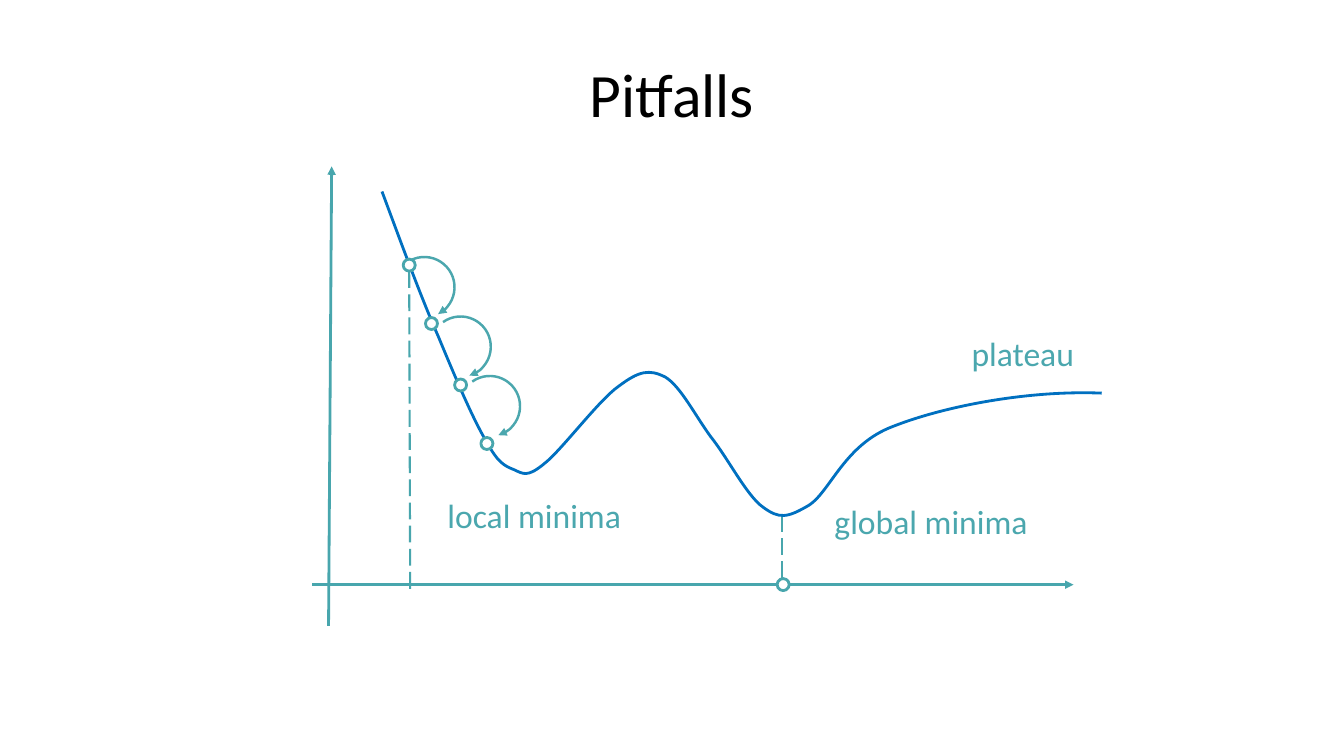
from lxml.etree import SubElement
from pptx import Presentation
from pptx.dml.color import RGBColor
from pptx.enum.dml import MSO_LINE
from pptx.enum.shapes import MSO_CONNECTOR, MSO_SHAPE
from pptx.enum.text import MSO_ANCHOR, MSO_AUTO_SIZE, PP_ALIGN
from pptx.oxml.ns import qn
from pptx.util import Pt

COLORS = {"title": "000000", "axis": "48A6AD", "step": "4BA7AE",
          "loss": "0070C0", "paper": "FFFFFF"}

LOSS_START = (272.9, 136.8)
LOSS_CURVES = [
    [(286.6, 173.5), (300.2, 211), (313.2, 240.5)],
    [(325.4, 270), (337.7, 298.8), (347, 314.6)],
    [(355.7, 330.5), (360, 332.6), (367.2, 335.5)],
    [(373.7, 338.4), (376.6, 341.3), (388.8, 331.2)],
    [(401, 321.8), (427.7, 285.8), (442.1, 275.8)],
    [(456.5, 265), (463.7, 263.5), (475.2, 269.3)],
    [(486, 275.8), (496.1, 295.9), (507.6, 311.8)],
    [(519.8, 326.9), (533.5, 354.2), (545, 362.2)],
    [(556.6, 370.8), (562.3, 370.1), (578.2, 360.7)],
    [(593.3, 350.6), (603.4, 317.5), (637.9, 304.6)],
    [(672.5, 290.9), (732.2, 278.6), (787, 280.8)],
]
DESCENT_STEPS = [(303.1, 205.2, 13.72), (329, 247.7, 19.98), (349.9, 290.2, 20.23)]
DESCENT_POINTS = [(292.3, 189.4), (308.2, 231.1), (329, 275), (347.8, 316.8)]
GLOBAL_MINIMUM = (559.4, 417.6)
LABELS = [("local minima", 312.5, 349.9, 139.7),
          ("global minima", 589, 354.2, 153.4),
          ("plateau", 686.9, 234, 88.6)]


class Sketch:
    font = "Calibri"
    dot_size = 8.6
    arc_size = 43.2

    def __init__(self, slide):
        self.slide = slide
        self.shapes = slide.shapes

    def color(self, name):
        return RGBColor.from_string(COLORS[name])

    def stroke(self, item, color, width, arrow=False):
        item.line.color.rgb = self.color(color)
        item.line.width = Pt(width)
        if arrow:
            outline = item.element.spPr.find(qn("a:ln"))
            SubElement(outline, qn("a:tailEnd"), type="triangle")

    def set_text(self, frame, text, size, color):
        frame.text = text
        font = frame.paragraphs[0].runs[0].font
        font.name = self.font
        font.size = Pt(size)
        font.color.rgb = self.color(color)

    def title(self, text, left, top, width, height):
        heading = self.shapes.title
        heading.left, heading.top = Pt(left), Pt(top)
        heading.width, heading.height = Pt(width), Pt(height)
        frame = heading.text_frame
        self.set_text(frame, text, 44, "title")
        frame.vertical_anchor = MSO_ANCHOR.MIDDLE
        frame.paragraphs[0].alignment = PP_ALIGN.CENTER

    def label(self, text, left, top, width):
        box = self.shapes.add_textbox(Pt(left), Pt(top), Pt(width), Pt(36))
        frame = box.text_frame
        self.set_text(frame, text, 24, "step")
        frame.word_wrap = False
        frame.auto_size = MSO_AUTO_SIZE.SHAPE_TO_FIT_TEXT

    def connect(self, start, end, width, arrow=False):
        ends = [Pt(length) for length in (*start, *end)]
        connector = self.shapes.add_connector(MSO_CONNECTOR.STRAIGHT, *ends)
        self.stroke(connector, "axis", width, arrow)
        SubElement(connector.element.spPr, qn("a:effectLst"))
        return connector

    def axis(self, start, end):
        self.connect(start, end, 2, arrow=True)

    def drop_line(self, start, end):
        self.connect(start, end, 1.5).line.dash_style = MSO_LINE.LONG_DASH

    def round_shape(self, preset, center, size):
        left, top = (Pt(middle - size / 2) for middle in center)
        item = self.shapes.add_shape(preset, left, top, Pt(size), Pt(size))
        item.shadow.inherit = False
        return item

    def dot(self, center):
        marker = self.round_shape(MSO_SHAPE.OVAL, center, self.dot_size)
        marker.fill.solid()
        marker.fill.fore_color.rgb = self.color("paper")
        self.stroke(marker, "axis", 2)

    def step(self, center, end_angle):
        arc = self.round_shape(MSO_SHAPE.ARC, center, self.arc_size)
        arc.rotation = 39.9
        arc.adjustments[0] = 116.79
        arc.adjustments[1] = end_angle
        arc.fill.background()
        self.stroke(arc, "step", 1.75, arrow=True)

    def curve(self, start, pieces):
        builder = self.shapes.build_freeform(Pt(start[0]), Pt(start[1]))
        points = [(Pt(x), Pt(y)) for piece in pieces for x, y in piece]
        builder.add_line_segments(points, close=False)
        outline = builder.convert_to_shape()
        segments = outline.element.xpath(".//a:lnTo")
        for first in range(0, len(segments), 3):
            trio = segments[first:first + 3]
            bezier = SubElement(trio[0].getparent(), qn("a:cubicBezTo"))
            for segment in trio:
                bezier.append(segment[0])
                segment.getparent().remove(segment)
        outline.fill.background()
        outline.shadow.inherit = False
        self.stroke(outline, "loss", 2)


def main():
    deck = Presentation()
    deck.slide_width, deck.slide_height = Pt(960), Pt(540)
    sketch = Sketch(deck.slides.add_slide(deck.slide_layouts[5]))

    sketch.title("Pitfalls", 48, 21.6, 864, 90)
    sketch.drop_line((558.7, 367.9), (558.7, 421.2))
    sketch.axis((223.2, 417.6), (766.8, 417.6))
    sketch.axis((234.7, 447.1), (236.9, 118.8))
    sketch.drop_line((292.3, 193.7), (293, 421.2))
    sketch.curve(LOSS_START, LOSS_CURVES)
    for x, y, end_angle in DESCENT_STEPS:
        sketch.step((x, y), end_angle)
    for center in [*DESCENT_POINTS, GLOBAL_MINIMUM]:
        sketch.dot(center)
    for label in LABELS:
        sketch.label(*label)

    deck.save("out.pptx")


if __name__ == "__main__":
    main()
